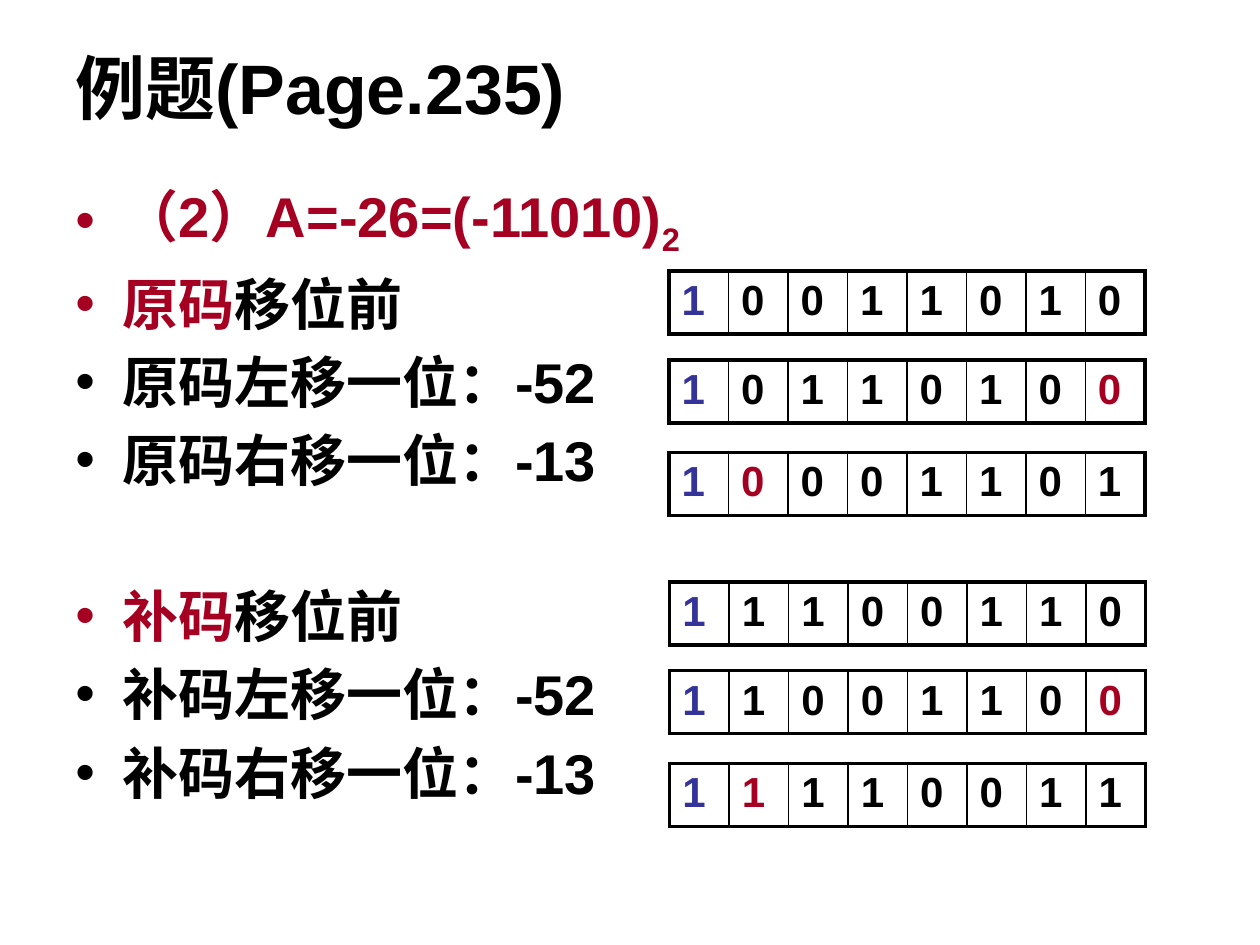
"""Build the worked-example slide on shifting sign-magnitude and complement codes."""
from lxml import etree
from pptx import Presentation
from pptx.dml.color import RGBColor
from pptx.enum.text import MSO_ANCHOR, MSO_AUTO_SIZE, PP_ALIGN
from pptx.oxml.ns import qn
from pptx.util import Pt

LEFT = PP_ALIGN.LEFT
TOP, MIDDLE = MSO_ANCHOR.TOP, MSO_ANCHOR.MIDDLE
NO_AUTOFIT = MSO_AUTO_SIZE.NONE
TITLE_ONLY = 5

THEME = {
    "font": "Arial", "title": 40, "body": 32, "bit": 24,
    "ink": "000000", "accent": "A50021", "sign": "333399",
    "outer_line": 2.25, "inner_line": 1,
}

TITLE = "例题(Page.235)"
PROBLEM = [("（2）A=-26=(-11010)", "accent", 0), ("2", "accent", -25000)]
CODES = [
    {"name": "原码", "gap": 6.4, "left": 382.3, "top": 154.8,
     "registers": [("10011010", None), ("10110100", 7), ("10001101", 1)]},
    {"name": "补码", "gap": 50.4, "left": 382.7, "top": 332.5,
     "registers": [("11100110", None), ("11001100", 7), ("11110011", 1)]},
]
SHIFTS = ["左移一位：-52", "右移一位：-13"]
REGISTER_OFFSETS = [0, 50.8, 103.7]

TITLE_BOX = (36, 21.6, 648, 55.4)
BODY_BOX = (36, 100.1, 648, 396.7)
BIT_WIDTH, BIT_HEIGHT = 34, 36
INDENT, LINE_GAP = 27, 6.4


def add_run(paragraph, text, size, colour, baseline=0):
    run = paragraph.add_run()
    run.text = text
    formats = {"name": THEME["font"], "size": Pt(THEME[size]), "bold": True}
    for attribute, value in formats.items():
        setattr(run.font, attribute, value)
    run.font.color.rgb = RGBColor.from_string(THEME[colour])
    if baseline:
        run.font._element.set("baseline", str(baseline))


def format_frame(frame, anchor):
    formats = {"word_wrap": True, "auto_size": NO_AUTOFIT, "vertical_anchor": anchor}
    for attribute, value in formats.items():
        setattr(frame, attribute, value)


def add_title(slide):
    title = slide.shapes.title
    for attribute, value in zip(("left", "top", "width", "height"), TITLE_BOX):
        setattr(title, attribute, Pt(value))
    format_frame(title.text_frame, MIDDLE)
    paragraph = title.text_frame.paragraphs[0]
    paragraph.alignment = LEFT
    add_run(paragraph, TITLE, "title", "ink")


def add_bullets(slide):
    bullets = [(PROBLEM, LINE_GAP)]
    for code in CODES:
        heading = [(code["name"], "accent", 0), ("移位前", "ink", 0)]
        bullets.append((heading, code["gap"]))
        bullets += [([(code["name"] + shift, "ink", 0)], LINE_GAP) for shift in SHIFTS]

    frame = slide.shapes.add_textbox(*map(Pt, BODY_BOX)).text_frame
    format_frame(frame, TOP)
    for index, (runs, gap) in enumerate(bullets):
        paragraph = frame.add_paragraph() if index else frame.paragraphs[0]
        paragraph.space_before = Pt(gap)
        properties = paragraph._p.get_or_add_pPr()
        properties.set("marL", str(Pt(INDENT)))
        properties.set("indent", str(-Pt(INDENT)))
        etree.SubElement(properties, qn("a:buFont"), typeface=THEME["font"])
        etree.SubElement(properties, qn("a:buChar"), char="•")
        for text, colour, baseline in runs:
            add_run(paragraph, text, "body", colour, baseline)


def add_borders(cell, outer_sides):
    properties = cell._tc.get_or_add_tcPr()
    for side in "LRTB":
        width = THEME["outer_line" if side in outer_sides else "inner_line"]
        line = etree.SubElement(properties, qn("a:ln" + side), w=str(Pt(width)))
        fill = etree.SubElement(line, qn("a:solidFill"))
        etree.SubElement(fill, qn("a:srgbClr"), val=THEME["ink"])


def add_register(slide, bits, changed, left, top):
    count = len(bits)
    table = slide.shapes.add_table(
        1, count, Pt(left), Pt(top), Pt(BIT_WIDTH * count), Pt(BIT_HEIGHT)).table
    table.first_row = table.horz_banding = False
    for index, bit in enumerate(bits):
        cell = table.cell(0, index)
        outer_sides = "TB" + ("L" if index == 0 else "R" if index == count - 1 else "")
        add_borders(cell, outer_sides)
        cell.fill.background()
        colour = "sign" if index == 0 else "accent" if index == changed else "ink"
        add_run(cell.text_frame.paragraphs[0], bit, "bit", colour)


def main():
    deck = Presentation()
    deck.slide_width, deck.slide_height = Pt(720), Pt(540)
    slide = deck.slides.add_slide(deck.slide_layouts[TITLE_ONLY])
    add_title(slide)
    add_bullets(slide)
    for code in CODES:
        for (bits, changed), offset in zip(code["registers"], REGISTER_OFFSETS):
            add_register(slide, bits, changed, code["left"], code["top"] + offset)
    deck.save("out.pptx")


if __name__ == "__main__":
    main()
